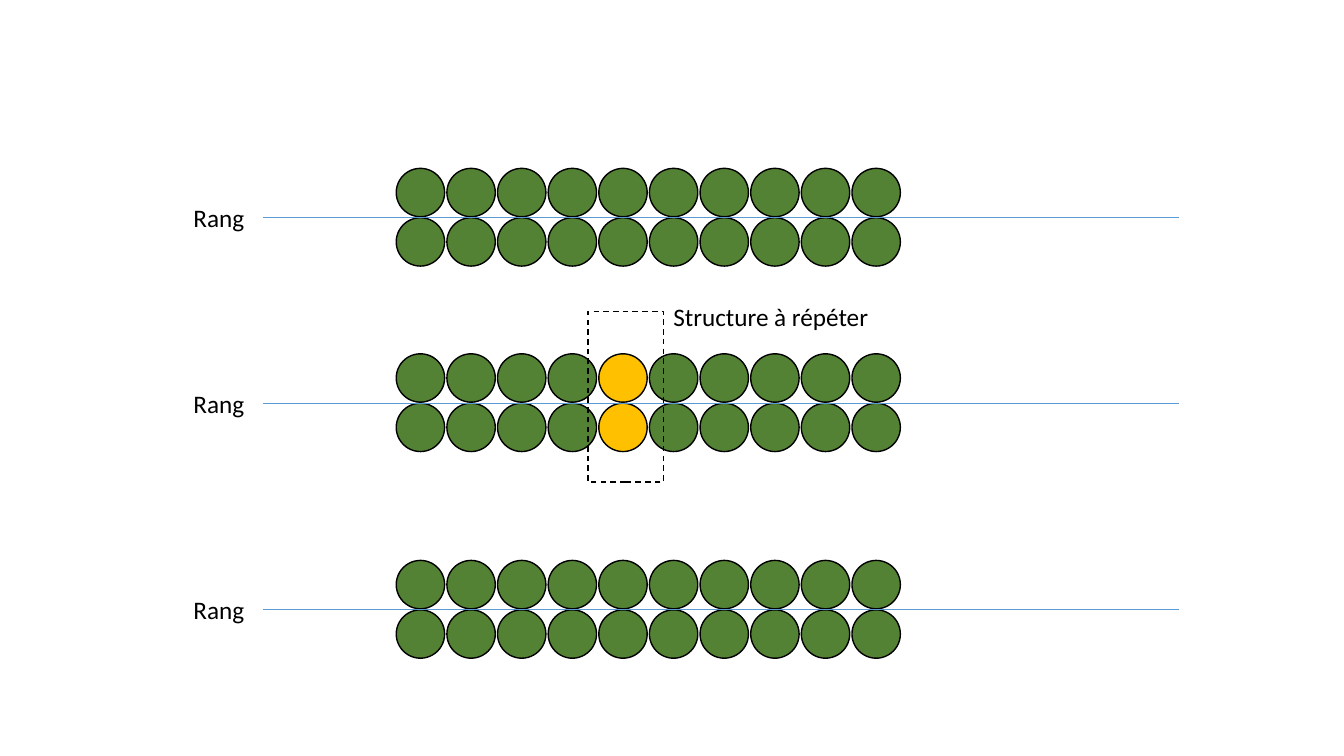
from pptx import Presentation
from pptx.dml.color import RGBColor
from pptx.enum.dml import MSO_LINE_DASH_STYLE as Dash
from pptx.enum.shapes import MSO_CONNECTOR as Link, MSO_SHAPE as Shape
from pptx.enum.text import MSO_AUTO_SIZE as Fit
from pptx.oxml.ns import qn
from pptx.util import Inches, Pt
from lxml import etree

GREEN, GOLD, BLACK, BLUE = "548235", "FFC000", "000000", "5B9BD5"
COUNT, LEFT, SIZE = 10, 3.93, 0.48
STEP = 4.52 / (COUNT - 1)
RANKS = (2.16, 4.0, 6.05)
MARKED = (1, 4)  # rank and column of the gold pair


def rgb(code):
    return RGBColor.from_string(code)


def add_shape(slide, kind, box, fill=None, dash=None):
    shape = slide.shapes.add_shape(kind, *map(Inches, box))
    shape.shadow.inherit = False
    if fill:
        shape.fill.solid()
        shape.fill.fore_color.rgb = rgb(fill)
    else:
        shape.fill.background()
    shape.line.color.rgb = rgb(BLACK)
    shape.line.width = Pt(1)
    if dash:
        shape.line.dash_style = dash


def add_plants(slide, rank, axis):
    """Draw one row of circles above and one below the axis."""
    for top in (axis - SIZE - 0.01, axis):
        for col in range(COUNT):
            fill = GOLD if (rank, col) == MARKED else GREEN
            add_shape(slide, Shape.OVAL, (LEFT + col * STEP, top, SIZE, SIZE), fill)


def add_axis(slide, y):
    ends = map(Inches, (2.61, y, 11.69, y))
    line = slide.shapes.add_connector(Link.STRAIGHT, *ends)
    line.line.color.rgb = rgb(BLUE)
    line.line.width = Pt(0.5)
    etree.SubElement(line._element.spPr, qn("a:effectLst"))


def add_label(slide, text, left, top, width):
    box = slide.shapes.add_textbox(*map(Inches, (left, top, width, 0.4)))
    frame = box.text_frame
    frame.word_wrap = False
    frame.auto_size = Fit.SHAPE_TO_FIT_TEXT
    frame.text = text
    font = frame.paragraphs[0].runs[0].font
    font.name = "Calibri"
    font.size = Pt(18)
    font.color.rgb = rgb(BLACK)


def main():
    deck = Presentation()
    deck.slide_width, deck.slide_height = Inches(13.33), Inches(7.5)
    slide = deck.slides.add_slide(deck.slide_layouts[6])
    for rank, axis in enumerate(RANKS):
        add_plants(slide, rank, axis)
    for axis in RANKS:
        add_axis(slide, axis)
        add_label(slide, "Rang", 1.82, axis - 0.2, 0.71)
    add_shape(slide, Shape.RECTANGLE, (5.83, 3.09, 0.75, 1.69), dash=Dash.DASH)
    add_label(slide, "Structure à répéter", 6.58, 2.94, 2.16)
    deck.save("out.pptx")


if __name__ == "__main__":
    main()
